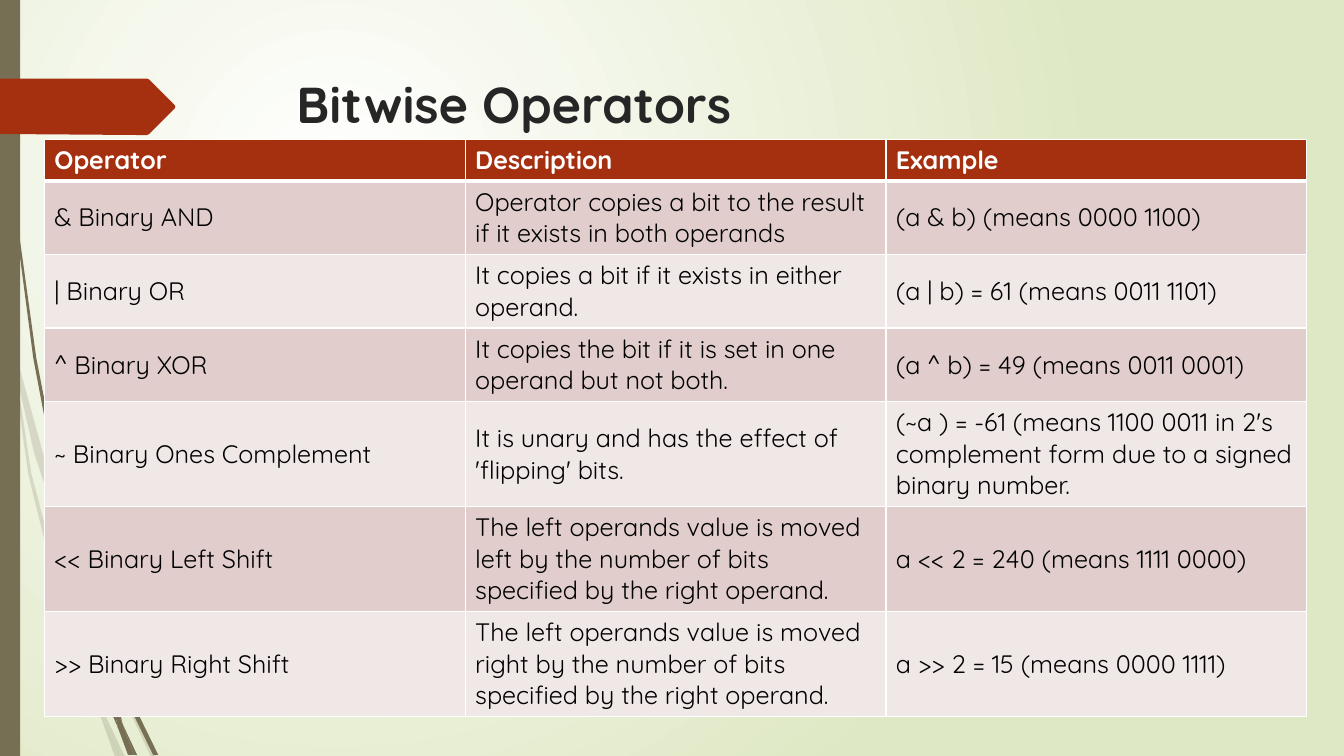
from pptx import Presentation
from pptx.dml.color import RGBColor
from pptx.enum.shapes import MSO_SHAPE as Preset
from pptx.enum.text import MSO_ANCHOR as Anchor, MSO_AUTO_SIZE as AutoSize, PP_ALIGN as Align
from pptx.oxml import parse_xml
from pptx.oxml.ns import nsdecls, qn
from pptx.util import Inches, Pt

CELL = Inches(0.01)  # grid step for every length below
COLUMNS, ROWS = 1333, 750
FONT = "Quicksand"
RUST, OLIVE, WHITE, BLACK, INK = "A53010", "766F54", "FFFFFF", "000000", "262626"
BANDS = ("E1CDCC", "F0E8E7")
GLOW = (WHITE, "DFE8C4")

# Outlines are x,y grid points; each row is one blade of grass.
PALE_BLADES = """
11,350 9,322 0,282 0,299 10,344
58,522 84,599 85,586 62,520 14,345 17,376 34,450
92,607 88,596 88,610 123,694 150,751 155,751 127,692
119,751 124,751 105,711
93,683 70,619 31,469 17,376 11,350 28,470 65,621 92,693 101,714 99,707
84,599 87,646 93,683 96,692 105,711 103,706 91,646 88,610 88,608
88,584 110,462 160,349 229,245 268,198 312,154 312,153 268,197 228,244 158,348 107,461 85,584 85,586 88,596
101,714 114,751 119,751
88,608 88,610 88,596 85,586 84,599
96,692 93,683 99,707 101,714 119,751 105,711
"""
DARK_BLADES = """
7,110 17,233 33,355 56,477 57,481 55,457 55,453 36,355 19,232 8,109 5,48 4,0 3,0 4,48
88,592 106,645 106,633 106,631 93,590 60,472 64,505 75,549
113,649 110,641 111,656 132,708 152,749 157,749 136,706
110,691 98,657 72,556 64,505 57,477 68,557 93,659 111,708 117,722 116,717
60,472 58,453 54,349 58,245 63,193 70,141 62,193 56,245 52,349 55,449
133,749 136,749 122,719
57,477 64,505 60,472 55,449 55,453
111,633 125,552 158,476 205,406 231,374 245,359 261,344 260,344 245,358 231,373 204,405 156,474 122,551 106,631 110,641
117,722 127,749 131,749
106,645 110,691 116,706 122,719 121,716 111,656 109,651
106,645 109,651 111,656 110,641 106,631 106,633
116,706 110,691 116,717 117,722 130,749 133,749 122,719
"""
PENNANT = "173,108 148,133 146,134 136,134 0,133 0,78 146,78 148,79 173,104 174,106"

ROW_HEIGHTS = (41, 73, 73, 73, 104, 104, 104)
SHIFT = "The left operands value is moved {} by the number of bits specified by the right operand."
OPERATORS = (
    ("Operator", "Description", "Example"),
    ("& Binary AND", "Operator copies a bit to the result if it exists in both operands",
     "(a & b) (means 0000 1100)"),
    ("| Binary OR", "It copies a bit if it exists in either operand.",
     "(a | b) = 61 (means 0011 1101)"),
    ("^ Binary XOR", "It copies the bit if it is set in one operand but not both.",
     "(a ^ b) = 49 (means 0011 0001)"),
    ("~ Binary Ones Complement", "It is unary and has the effect of 'flipping' bits.",
     "(~a ) = -61 (means 1100 0011 in 2's complement form due to a signed binary number."),
    ("<< Binary Left Shift", SHIFT.format("left"), "a << 2 = 240 (means 1111 0000)"),
    (">> Binary Right Shift", SHIFT.format("right"), "a >> 2 = 15 (means 0000 1111)"),
)


def color(value):
    """Turn a hex string into a colour."""
    return RGBColor.from_string(value)


def grid(*lengths):
    """Turn grid steps into slide lengths."""
    return [CELL * length for length in lengths]


def write(frame, text, size=18, tint=BLACK, bold=False, anchor=Anchor.MIDDLE):
    """Write one left-aligned paragraph into a text frame."""
    frame.word_wrap = True
    frame.vertical_anchor = anchor
    para = frame.paragraphs[0]
    para.alignment = Align.LEFT
    span = para.add_run()
    span.text = text
    font = span.font
    font.name, font.size, font.bold = FONT, Pt(size), bold
    font.color.rgb = color(tint)


def edge(cell, side, width):
    """Draw one white border of a table cell."""
    cell._tc.get_or_add_tcPr().append(parse_xml(
        f'<a:ln{side} {nsdecls("a")} w="{Pt(width)}"><a:solidFill>'
        f'<a:srgbClr val="{WHITE}"/></a:solidFill></a:ln{side}>'))


class Painter:
    """Hold the deck and the current page, and draw elements on it."""

    def __init__(self):
        """Start a deck with one title-only page."""
        self.deck = Presentation()
        self.deck.slide_width, self.deck.slide_height = grid(COLUMNS, ROWS)
        self.page = self.deck.slides.add_slide(self.deck.slide_layouts[5])
        self.shapes = self.page.shapes

    def background(self, inner, outer):
        """Fill the page with a round gradient centred at upper left."""
        fill = self.page.background.fill
        fill.gradient()
        for stop, tint in zip(fill.gradient_stops, (inner, outer)):
            stop.color.rgb = color(tint)
        line = next(self.page._element.iter(qn("a:lin")))
        line.getparent().replace(line, parse_xml(
            f'<a:path {nsdecls("a")} path="circle">'
            '<a:fillToRect l="50000" t="50000" r="100000" b="100000"/></a:path>'))

    def paint(self, shape, tint, opacity=100):
        """Give a shape a flat fill without line or shadow."""
        shape.shadow.inherit = False
        shape.line.fill.background()
        shape.fill.solid()
        shape.fill.fore_color.rgb = color(tint)
        if opacity < 100:
            value = next(shape._element.spPr.iter(qn("a:srgbClr")))
            value.append(parse_xml(f'<a:alpha {nsdecls("a")} val="{opacity * 1000}"/>'))

    def outline(self, points, tint, opacity=100):
        """Draw a closed outline through grid points."""
        start, *rest = [tuple(map(int, point.split(","))) for point in points.split()]
        builder = self.shapes.build_freeform(*start, scale=CELL)
        builder.add_line_segments(rest, close=True)
        self.paint(builder.convert_to_shape(), tint, opacity)

    def bar(self, place, tint):
        """Draw a plain rectangle."""
        self.paint(self.shapes.add_shape(Preset.RECTANGLE, *grid(*place)), tint)

    def title(self, place, text):
        """Place and write the title in front of the decoration."""
        box = self.shapes.title
        box.left, box.top, box.width, box.height = grid(*place)
        box.text_frame.auto_size = AutoSize.NONE
        write(box.text_frame, text, size=36, tint=INK, bold=True, anchor=Anchor.TOP)
        self.shapes._spTree.append(box._element)

    def table(self, left, top, width, heights, rows):
        """Draw a table with a header row and banded body rows."""
        place = grid(left, top, width, sum(heights))
        table = self.shapes.add_table(len(rows), len(rows[0]), *place).table
        for number, (texts, height) in enumerate(zip(rows, heights)):
            table.rows[number].height = CELL * height
            header = number == 0
            for column, text in enumerate(texts):
                cell = table.cell(number, column)
                widths = {"L": 1, "R": 1, "T": 3 if number == 1 else 1, "B": 3 if header else 1}
                for side, thickness in widths.items():
                    edge(cell, side, thickness)
                cell.fill.solid()
                cell.fill.fore_color.rgb = color(RUST if header else BANDS[(number - 1) % 2])
                cell.vertical_anchor = Anchor.MIDDLE
                write(cell.text_frame, text, tint=WHITE if header else BLACK, bold=header)


painter = Painter()
painter.background(*GLOW)
for blades, opacity in ((PALE_BLADES, 20), (DARK_BLADES, 100)):
    for blade in blades.strip().splitlines():
        painter.outline(blade, OLIVE, opacity)
painter.bar((0, 0, 20, ROWS), OLIVE)
painter.outline(PENNANT, RUST)
painter.title((284, 68, 975, 140), "Bitwise Operators")
painter.table(44, 138, 1252, ROW_HEIGHTS, OPERATORS)
painter.deck.save("out.pptx")
